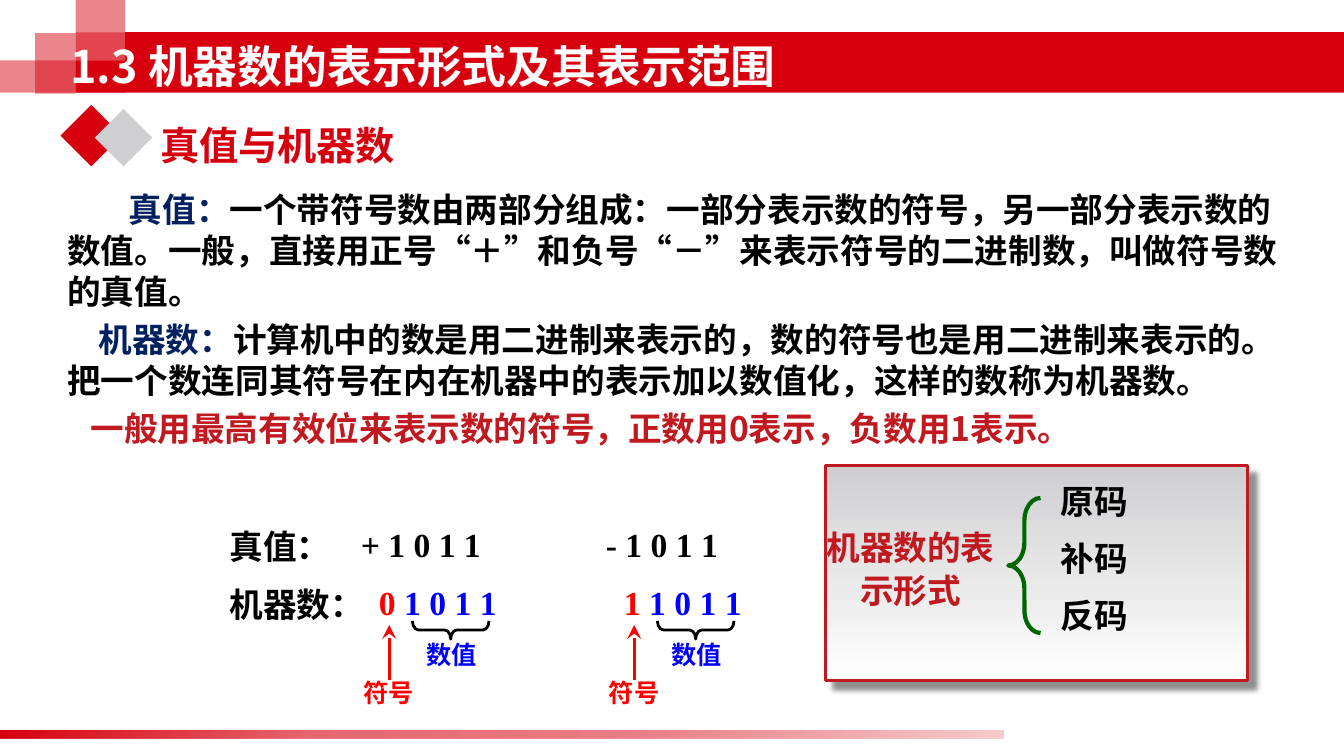
from lxml import etree
from pptx import Presentation
from pptx.dml.color import RGBColor
from pptx.enum import shapes, text
from pptx.oxml import ns
from pptx.util import Inches, Pt

RED = RGBColor(0xD7, 0x00, 0x0F)
DARK = RGBColor(0xC0, 0x19, 0x20)
GREY = RGBColor(0xCF, 0xCF, 0xD1)
NAVY = RGBColor(0x00, 0x20, 0x60)
GREEN = RGBColor(0x00, 0x66, 0x00)
BLUE = RGBColor(0x00, 0x00, 0xFF)
SIGN = RGBColor(0xFF, 0x00, 0x00)
BLACK = RGBColor(0, 0, 0)
WHITE = RGBColor(0xFF, 0xFF, 0xFF)
SANS = "Noto Sans CJK SC"
SERIF = "Times New Roman"
SHAPE = shapes.MSO_SHAPE


def child(node, tag, **attrs):
    return etree.SubElement(node, ns.qn(tag), {k: str(v) for k, v in attrs.items()})


def fade(color, percent):
    child(color, "a:alpha", val=percent * 1000)


def draw(slide, kind, box, fill=None, line=None, width=1, alpha=100):
    item = slide.shapes.add_shape(kind, *map(Inches, box))
    item.shadow.inherit = False
    if fill is None:
        item.fill.background()
    else:
        item.fill.solid()
        item.fill.fore_color.rgb = fill
        if alpha < 100:
            fade(item._element.spPr.find(".//" + ns.qn("a:srgbClr")), alpha)
    if line is None:
        item.line.fill.background()
    else:
        item.line.color.rgb = line
        item.line.width = Pt(width)
    return item


def blend(item, stops, angle):
    """Replace an empty fill by a gradient of (position, colour, alpha) stops."""
    props = item._element.spPr
    grad = etree.Element(ns.qn("a:gradFill"), rotWithShape="1")
    group = child(grad, "a:gsLst")
    for pos, color, alpha in stops:
        stop = child(group, "a:gs", pos=pos * 1000)
        fade(child(stop, "a:srgbClr", val=color), alpha)
    child(grad, "a:lin", ang=angle * 60000, scaled=0)
    props.replace(props.find(ns.qn("a:noFill")), grad)


def frame(slide, box, top=0.04, left=0.1, anchor=text.MSO_ANCHOR.TOP):
    body = slide.shapes.add_textbox(*map(Inches, box)).text_frame
    body.word_wrap = True
    body.margin_top, body.margin_left = Inches(top), Inches(left)
    body.vertical_anchor = anchor
    return body


def write(body, runs, size, gap=0, indent=0, pitch=1.22, align=None):
    """Add one paragraph of (text, colour[, font]) runs; gap is skipped on the first."""
    para = body.paragraphs[0]
    if para.runs:
        para = body.add_paragraph()
        para.space_before = Pt(gap)
    para.alignment = align
    if pitch:
        para.line_spacing = Pt(size * pitch)
    para._p.get_or_add_pPr().set("indent", str(Inches(indent)))
    for words, color, *face in runs:
        run = para.add_run()
        run.text = words
        font = run.font
        font.size, font.bold, font.color.rgb = Pt(size), True, color
        font.name = face[0] if face else SANS
        if not face:
            child(run._r.get_or_add_rPr(), "a:ea", typeface=SANS)


def banner(slide, x, y, w, h):
    edge = x + 1.24
    draw(slide, SHAPE.RECTANGLE, (edge, y, w - 1.24, h), RED)
    tiles = [(x, y + 0.28, 1.24, 0.32), (x + 0.35, y + 0.01, 0.4, h),
             (x + 0.75, 0, 0.49, 0.6), (x + 0.75, y, 0.49, 0.28)]
    for tile in tiles:
        draw(slide, SHAPE.RECTANGLE, tile, RED, alpha=48)
    draw(slide, SHAPE.RECTANGLE, (x + 0.75, y + 0.28, 0.49, 0.32), RED)
    title = frame(slide, (x + 0.6, y, 8.9, 0.67), anchor=text.MSO_ANCHOR.MIDDLE)
    write(title, [("1.3 机器数的表示形式及其表示范围", WHITE)], 32, pitch=None)


def footer(slide, x, y, w, h):
    bar = draw(slide, SHAPE.RECTANGLE, (x, y, w, h))
    red = str(RED)
    blend(bar, [(0, red, 100), (31, red, 60), (64, red, 50), (100, red, 20)], 40)


def heading(slide, x, y):
    draw(slide, SHAPE.DIAMOND, (x, y, 0.61, 0.61), RED)
    draw(slide, SHAPE.DIAMOND, (x + 0.34, y + 0.04, 0.57, 0.57), GREY)
    write(frame(slide, (x + 0.89, y + 0.12, 4.55, 0.57)),
          [("真值与机器数", RED)], 28)


def prose(slide, box):
    body = frame(slide, box, top=0.78)
    write(body, [("真值：", NAVY),
                 ("一个带符号数由两部分组成：一部分表示数的符号，另一部分表示数的数值。"
                  "一般，直接用正号“＋”和负号“－”来表示符号的二进制数，"
                  "叫做符号数的真值。", BLACK)], 24, indent=0.61)
    write(body, [("机器数：", NAVY),
                 ("计算机中的数是用二进制来表示的，数的符号也是用二进制来表示的。"
                  "把一个数连同其符号在内在机器中的表示加以数值化，"
                  "这样的数称为机器数。", BLACK)], 24, gap=5, indent=0.31)
    write(body, [("一般用最高有效位来表示数的符号，正数用0表示，负数用1表示。", DARK)],
          24, gap=5, indent=0.23)


def mark(slide, x, y):
    """Point at a sign bit from below and brace the value bits beside it."""
    brace = draw(slide, SHAPE.RIGHT_BRACE, (x + 0.52, y - 0.33, 0.18, 0.76),
                 line=BLACK, width=2)
    brace.rotation = 90
    brace.adjustments[0] = 0.33
    write(frame(slide, (x + 0.27, y + 0.1, 0.94, 0.4)), [("数值", BLUE)], 18)
    arrow = slide.shapes.add_connector(shapes.MSO_CONNECTOR.STRAIGHT, Inches(x),
                                       Inches(y + 0.55), Inches(x), Inches(y))
    arrow.line.color.rgb = SIGN
    arrow.line.width = Pt(2)
    child(arrow.line._get_or_add_ln(), "a:tailEnd", type="stealth", w="lg", len="lg")
    child(arrow._element.spPr, "a:effectLst")
    write(frame(slide, (x - 0.35, y + 0.47, 0.9, 0.4)), [("符号", SIGN)], 18)


def sample(slide, x, y, h):
    labels = frame(slide, (x, y, 1.4, h))
    for name in ("真值：", "机器数："):
        write(labels, [(name, BLACK)], 24, gap=12)
    for column, (sign, bit) in enumerate(("+0", "-1")):
        left = x + 1.3 + 2.43 * column
        digits = frame(slide, (left, y, 1.65, h), top=0.02)
        write(digits, [(f"{sign} 1 0 1 1", BLACK, SERIF)], 24)
        write(digits, [(f"{bit} ", SIGN, SERIF), ("1 0 1 1", BLUE, SERIF)],
              24, gap=12, indent=0.18)
        mark(slide, left + 0.38, y + 1.03)


def panel(slide, x, y, w, h):
    card = draw(slide, SHAPE.RECTANGLE, (x, y, w, h), line=DARK, width=2.25)
    blend(card, [(0, str(GREY), 100), (100, str(WHITE), 100)], 90)
    effects = card._element.spPr.find(ns.qn("a:effectLst"))
    shade = child(effects, "a:outerShdw", blurRad=Pt(4), dist=Pt(8.4),
                  dir=45 * 60000, algn="tl", rotWithShape=0)
    fade(child(shade, "a:srgbClr", val=str(BLACK)), 43)
    center = text.PP_ALIGN.CENTER
    write(frame(slide, (x - 0.22, y + 0.45, 2.03, 1.04), top=0.13, left=0.19),
          [("机器数的表示形式", DARK)], 24, pitch=1.28, align=center)
    codes = frame(slide, (x + 1.97, y + 0.1, 1.39, 1.72))
    for name in ("原码", "补码", "反码"):
        write(codes, [(name, BLACK)], 24, gap=11.5, align=center)
    brace = draw(slide, SHAPE.LEFT_BRACE, (x + 1.81, y + 0.32, 0.32, 1.34),
                 line=GREEN, width=3)
    brace.adjustments[0] = 0.71


def main():
    deck = Presentation()
    deck.slide_width, deck.slide_height = Inches(13.33), Inches(7.5)
    slide = deck.slides.add_slide(deck.slide_layouts[6])
    banner(slide, 0, 0.32, 13.33, 0.6)
    footer(slide, 0, 7.25, 9.95, 0.08)
    prose(slide, (0.57, 1.09, 12.23, 3.52))
    sample(slide, 2.18, 5.17, 1.11)
    panel(slide, 8.19, 4.62, 4.18, 2.13)
    heading(slide, 0.6, 1.04)
    deck.save("out.pptx")


if __name__ == "__main__":
    main()
